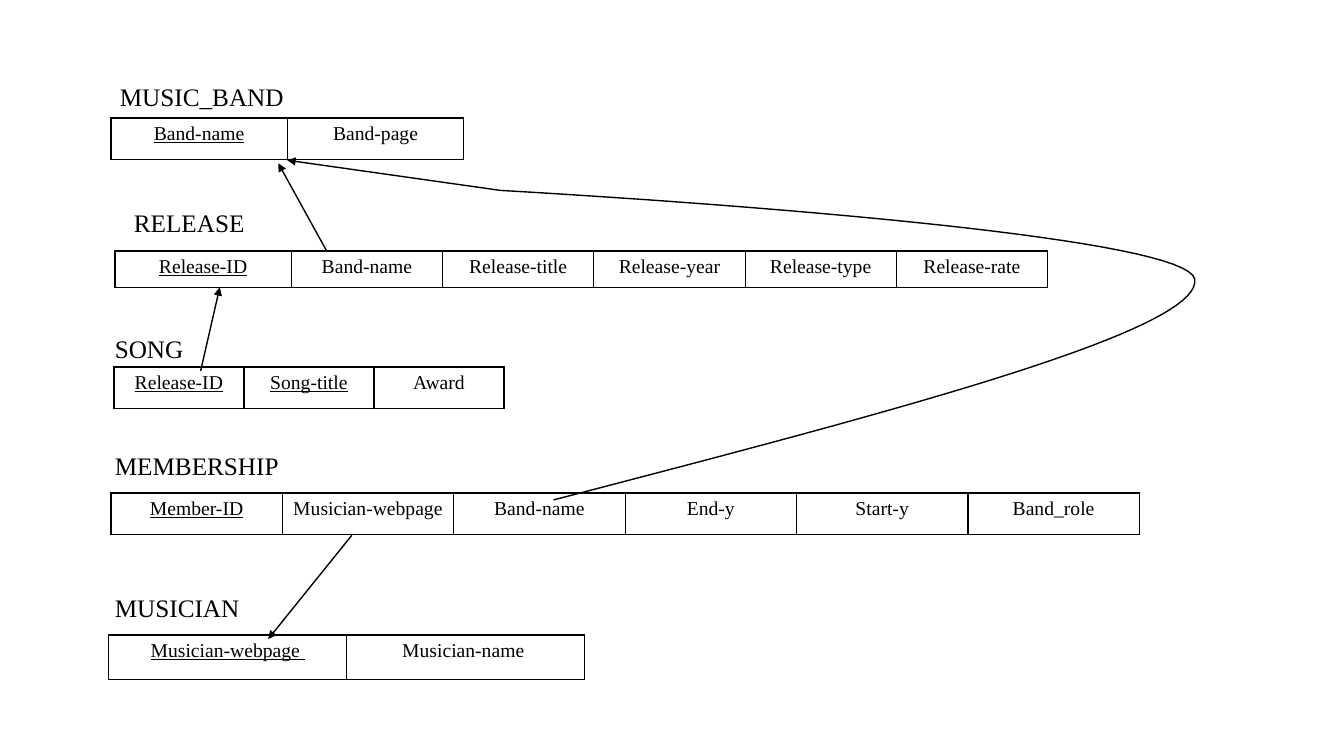
"""Draw the relational schema of a music database."""
from lxml import etree
from pptx import Presentation, util as u
from pptx.dml.color import RGBColor
from pptx.enum import shapes, text
from pptx.oxml import ns

FONT = "Times New Roman"
INK = "000000"
PAPER = "FFFFFF"

# (heading, heading position, table position, row height, column widths, attributes, key count)
RELATIONS = [
    ("MUSIC_BAND", (1.09, 0.76), (1.1, 1.17), 0.41, [1.75] * 2,
     ["Band-name", "Band-page"], 1),
    ("RELEASE", (1.23, 2.01), (1.14, 2.49), 0.36, [1.75] + [1.5] * 5,
     ["Release-ID", "Band-name", "Release-title", "Release-year",
      "Release-type", "Release-rate"], 1),
    ("SONG", (1.04, 3.26), (1.13, 3.64), 0.41, [1.29] * 3,
     ["Release-ID", "Song-title", "Award"], 2),
    ("MEMBERSHIP", (1.04, 4.42), (1.1, 4.89), 0.41, [1.7] * 6,
     ["Member-ID", "Musician-webpage ", "Band-name", "End-y", "Start-y",
      "Band_role"], 1),
    ("MUSICIAN", (1.04, 5.83), (1.08, 6.3), 0.44, [2.36] * 2,
     ["Musician-webpage ", "Musician-name "], 1),
]

REFERENCES = [
    ((3.24, 2.49), (2.76, 1.62)),
    ((3.49, 5.31), (2.66, 6.34)),
    ((1.99, 3.68), (2.18, 2.85)),
]

MEMBER_BAND_CURVES = [
    ((5.49, 4.96), (8.71, 4.12), (11.93, 3.29), (11.85, 2.77)),
    ((11.85, 2.77), (11.76, 2.26), (4.97, 1.89), (4.97, 1.89)),
]
MEMBER_BAND_END = (2.85, 1.59)


def color(hex_string):
    """Return the colour for a hex string."""
    return RGBColor.from_string(hex_string)


def inches(values):
    """Convert a sequence of numbers to lengths."""
    return [u.Inches(value) for value in values]


def format_runs(paragraph, size, underline=False):
    """Set the font of every run in a paragraph."""
    for run in paragraph.runs:
        run.font.name = FONT
        run.font.size = u.Pt(size)
        run.font.underline = underline
        run.font.color.rgb = color(INK)


def add_heading(slide, name, position):
    """Write a relation name above its table."""
    frame = slide.shapes.add_textbox(*inches(position + (5.25, 0.4))).text_frame
    frame.word_wrap = True
    frame.auto_size = text.MSO_AUTO_SIZE.SHAPE_TO_FIT_TEXT
    frame.text = name
    format_runs(frame.paragraphs[0], 18)


def add_borders(cell):
    """Give a cell a one-point line on all four sides."""
    properties = cell._tc.get_or_add_tcPr()
    for side in ("a:lnL", "a:lnR", "a:lnT", "a:lnB"):
        border = etree.SubElement(properties, ns.qn(side), w=str(u.Pt(1)))
        fill = etree.SubElement(border, ns.qn("a:solidFill"))
        etree.SubElement(fill, ns.qn("a:srgbClr"), val=INK)


def add_relation(slide, position, height, widths, attributes, key_count):
    """Draw a relation as a one-row table with its keys underlined."""
    place = inches(position + (sum(widths), height))
    table = slide.shapes.add_table(1, len(widths), *place).table
    table.first_row = table.horz_banding = False
    table.rows[0].height = u.Inches(height)
    for index, (width, attribute) in enumerate(zip(widths, attributes)):
        table.columns[index].width = u.Inches(width)
        cell = table.cell(0, index)
        add_borders(cell)
        cell.fill.solid()
        cell.fill.fore_color.rgb = color(PAPER)
        cell.text_frame.text = attribute
        paragraph = cell.text_frame.paragraphs[0]
        paragraph.alignment = text.PP_ALIGN.CENTER
        format_runs(paragraph, 14, index < key_count)


def style_arrow(arrow):
    """Make a line black and end it in a triangle."""
    arrow.line.color.rgb = color(INK)
    arrow.line.width = u.Pt(1)
    properties = arrow.element.spPr
    etree.SubElement(properties.find(ns.qn("a:ln")), ns.qn("a:tailEnd"), type="triangle")
    if properties.find(ns.qn("a:effectLst")) is None:
        etree.SubElement(properties, ns.qn("a:effectLst"))


def add_reference(slide, start, end):
    """Point a straight arrow from a foreign key to its key."""
    style_arrow(slide.shapes.add_connector(
        shapes.MSO_CONNECTOR.STRAIGHT, *inches(start + end)))


def bezier_points(curve, steps=40):
    """Return points along a cubic curve."""
    points = []
    for step in range(steps + 1):
        t = step / steps
        weights = ((1 - t) ** 3, 3 * t * (1 - t) ** 2, 3 * t * t * (1 - t), t ** 3)
        points.append(tuple(sum(w * value for w, value in zip(weights, axis))
                            for axis in zip(*curve)))
    return points


def add_curved_reference(slide, curves, end):
    """Point a curved arrow from a foreign key to its key."""
    points = [inches(point) for curve in curves for point in bezier_points(curve)]
    points.append(inches(end))
    builder = slide.shapes.build_freeform(*points[0])
    builder.add_line_segments(points[1:], close=False)
    arrow = builder.convert_to_shape()
    arrow.shadow.inherit = False
    arrow.fill.background()
    style_arrow(arrow)


def main():
    """Build the slide and save it."""
    deck = Presentation()
    deck.slide_width, deck.slide_height = inches((13.33, 7.5))
    slide = deck.slides.add_slide(deck.slide_layouts[6])
    for name, heading_position, *relation in RELATIONS:
        add_heading(slide, name, heading_position)
        add_relation(slide, *relation)
    for start, end in REFERENCES:
        add_reference(slide, start, end)
    add_curved_reference(slide, MEMBER_BAND_CURVES, MEMBER_BAND_END)
    deck.save("out.pptx")


main()
